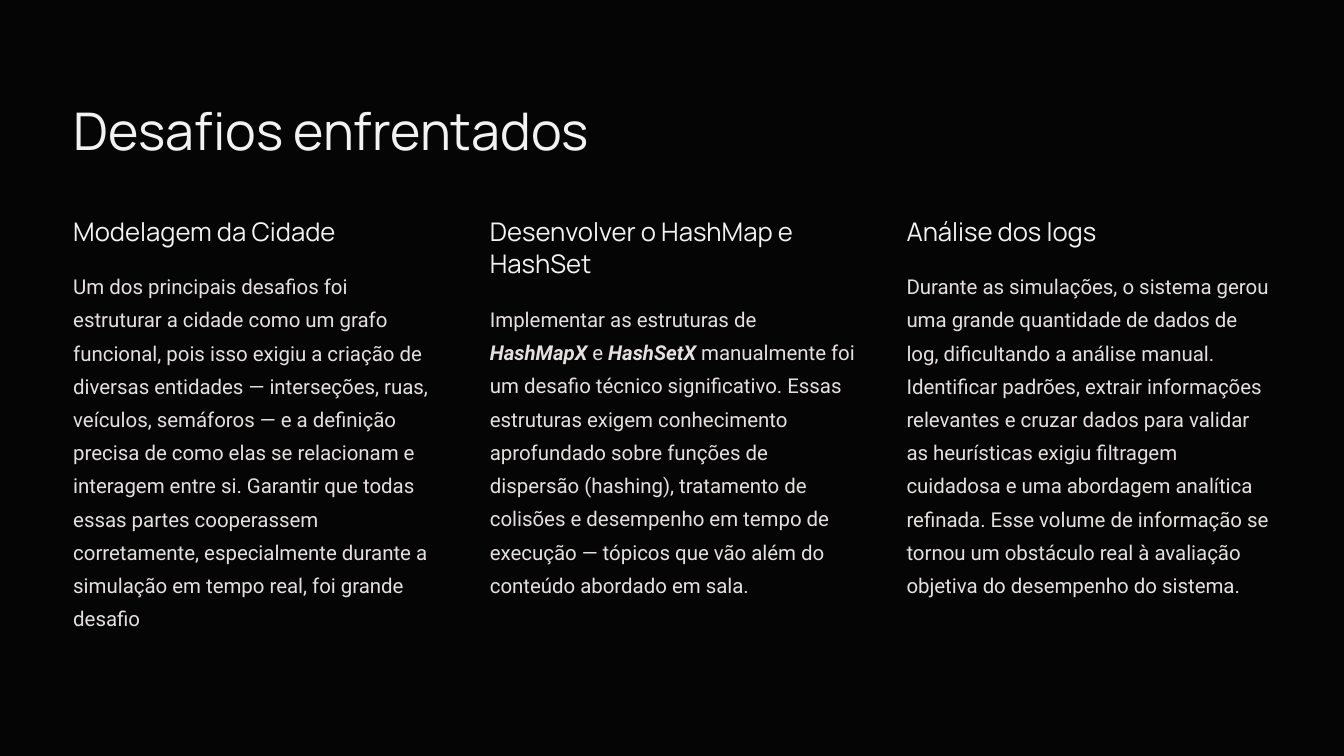
import pptx
import pptx.dml.color
import pptx.enum.shapes
import pptx.util

Inches = pptx.util.Inches
Pt = pptx.util.Pt
RGBColor = pptx.dml.color.RGBColor

CHARCOAL = RGBColor(0x19, 0x19, 0x1A)
BLACK = RGBColor(0x05, 0x05, 0x05)
WHITE = RGBColor(0xF2, 0xF2, 0xF3)
GREY = RGBColor(0xE5, 0xE0, 0xDF)

SLIDE_WIDTH = 20
SLIDE_HEIGHT = 11.25
MARGIN = 1.09
COLUMN_WIDTH = 5.46
COLUMN_STEP = 6.2
HEADING_TOP = 3.19
HEADING_LINE = 0.49
HEADING_GAP = 0.27
BODY_LINE = 0.5

CHALLENGES = [
    ("Modelagem da Cidade", 1, 11, [
        ("Um dos principais desafios foi estruturar a cidade como um grafo funcional, "
         "pois isso exigiu a criação de diversas entidades — interseções, ruas, veículos, "
         "semáforos — e a definição precisa de como elas se relacionam e interagem entre si. "
         "Garantir que todas essas partes cooperassem corretamente, especialmente durante a "
         "simulação em tempo real, foi grande desafio", False),
    ]),
    ("Desenvolver o HashMap e HashSet", 2, 9, [
        ("Implementar as estruturas de ", False),
        ("HashMapX ", True),
        ("e ", False),
        ("HashSetX ", True),
        ("manualmente foi um desafio técnico significativo. Essas estruturas exigem "
         "conhecimento aprofundado sobre funções de dispersão (hashing), tratamento de "
         "colisões e desempenho em tempo de execução — tópicos que vão além do conteúdo "
         "abordado em sala.", False),
    ]),
    ("Análise dos logs", 1, 10, [
        ("Durante as simulações, o sistema gerou uma grande quantidade de dados de log, "
         "dificultando a análise manual. Identificar padrões, extrair informações relevantes "
         "e cruzar dados para validar as heurísticas exigiu filtragem cuidadosa e uma "
         "abordagem analítica refinada. Esse volume de informação se tornou um obstáculo real "
         "à avaliação objetiva do desempenho do sistema.", False),
    ]),
]


class SlideWriter:
    def __init__(self, slide):
        self.slide = slide

    def background(self, color):
        fill = self.slide.background.fill
        fill.solid()
        fill.fore_color.rgb = color

    def panel(self, color):
        panel = self.slide.shapes.add_shape(
            pptx.enum.shapes.MSO_SHAPE.RECTANGLE,
            0, 0, Inches(SLIDE_WIDTH), Inches(SLIDE_HEIGHT))
        panel.shadow.inherit = False
        panel.fill.solid()
        panel.fill.fore_color.rgb = color
        panel.line.fill.background()

    def text(self, left, top, width, height, runs, font, size, spacing, color):
        box = self.slide.shapes.add_textbox(
            Inches(left), Inches(top), Inches(width), Inches(height))
        frame = box.text_frame
        frame.word_wrap = True
        frame.margin_left = frame.margin_right = 0
        frame.margin_top = frame.margin_bottom = 0
        paragraph = frame.paragraphs[0]
        paragraph.line_spacing = Pt(spacing)
        paragraph.font.name = font
        paragraph.font.size = Pt(size)
        paragraph.font.color.rgb = color
        for words, emphasis in runs:
            run = paragraph.add_run()
            run.text = words
            if emphasis:
                run.font.bold = True
                run.font.italic = True

    def title(self, words):
        self.text(MARGIN, 1.43, 8.18, 1.03, [(words, False)], "Manrope", 55.56, 69.37, WHITE)

    def heading(self, left, top, height, words):
        self.text(left, top, COLUMN_WIDTH, height, [(words, False)], "Manrope", 27.5, 34.37, WHITE)

    def body(self, left, top, height, runs):
        self.text(left, top, COLUMN_WIDTH, height, runs, "Roboto", 21.85, 35.62, GREY)


def main():
    presentation = pptx.Presentation()
    presentation.slide_width = Inches(SLIDE_WIDTH)
    presentation.slide_height = Inches(SLIDE_HEIGHT)
    writer = SlideWriter(presentation.slides.add_slide(presentation.slide_layouts[6]))

    writer.background(CHARCOAL)
    writer.panel(BLACK)
    writer.title("Desafios enfrentados")
    for column, (heading, heading_lines, body_lines, body) in enumerate(CHALLENGES):
        left = MARGIN + column * COLUMN_STEP
        heading_height = heading_lines * HEADING_LINE
        writer.heading(left, HEADING_TOP, heading_height, heading)
        body_top = HEADING_TOP + heading_height + HEADING_GAP
        writer.body(left, body_top, body_lines * BODY_LINE, body)

    presentation.save("out.pptx")


if __name__ == "__main__":
    main()
